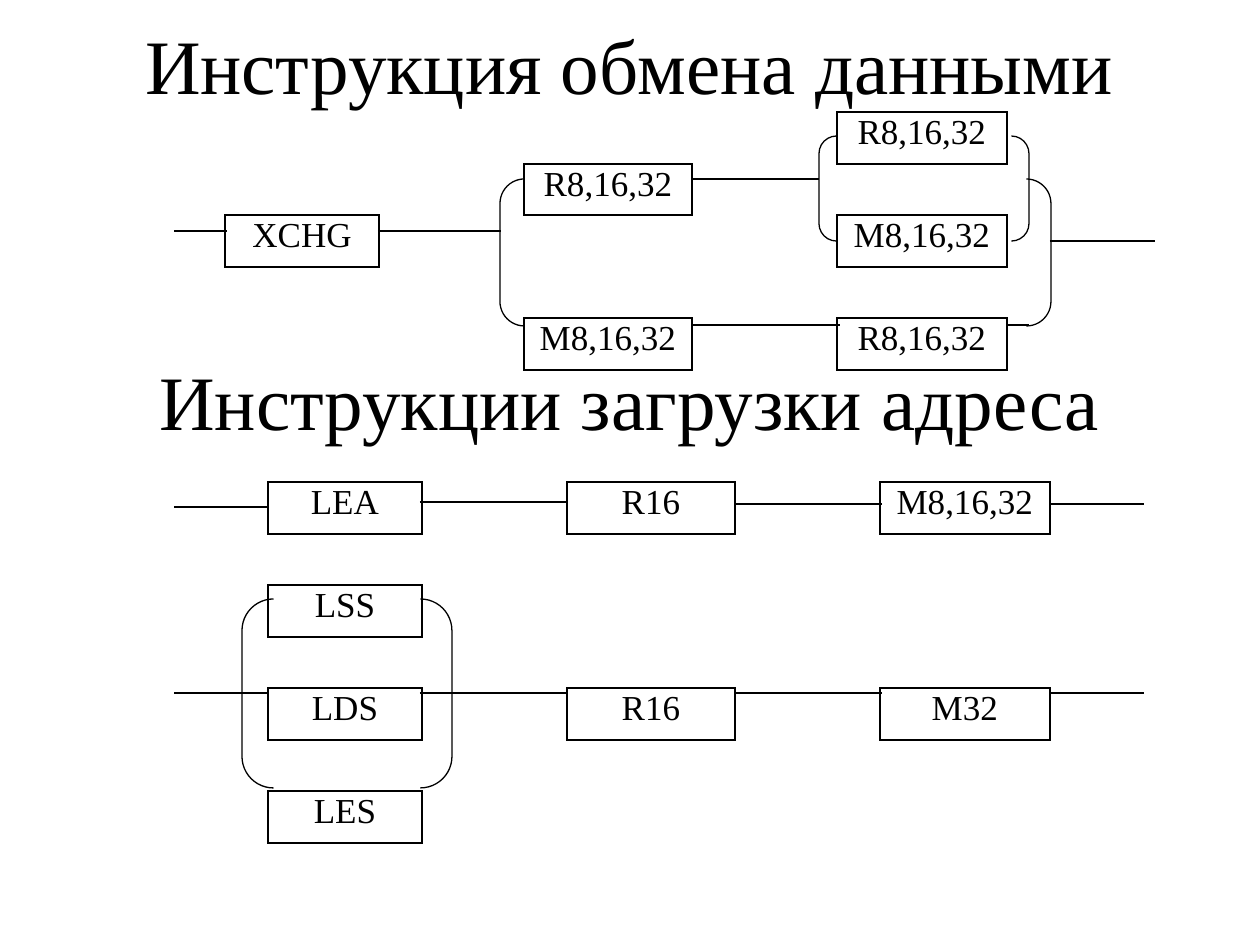
import pptx
import pptx.util
import pptx.oxml
import pptx.dml.color
import pptx.enum.shapes
import pptx.enum.text
from lxml import etree

BLACK = pptx.dml.color.RGBColor(0, 0, 0)
PX = 914400 // 126
COLS = [152, 154, 145, 168, 145, 170, 137]
NS = pptx.oxml.ns.qn


class Page:
    """Draw black syntax charts on one slide, with lengths in px."""

    font = "Times New Roman"
    line_pt = 0.75
    edge_pt = 1

    def __init__(self, slide):
        self.slide = slide
        self.shapes = slide.shapes

    def label(self, frame, text, size):
        para = frame.paragraphs[0]
        para.text = text
        para.alignment = pptx.enum.text.PP_ALIGN.CENTER
        para.font.size = pptx.util.Pt(size)
        para.font.name = self.font
        para.font.color.rgb = BLACK
        return para

    def title(self, top, text):
        box = self.shapes.add_textbox(94 * PX, top * PX, 1071 * PX, 63 * PX)
        frame = box.text_frame
        frame.word_wrap = True
        frame.vertical_anchor = pptx.enum.text.MSO_ANCHOR.MIDDLE
        self.label(frame, text, 44)

    def edge(self, cell):
        props = cell._tc.get_or_add_tcPr()
        for spot, side in enumerate(("lnL", "lnR", "lnT", "lnB")):
            line = etree.Element(NS("a:" + side), w=str(pptx.util.Pt(self.edge_pt)))
            fill = etree.SubElement(line, NS("a:solidFill"))
            etree.SubElement(fill, NS("a:srgbClr"), val=str(BLACK))
            props.insert(spot, line)

    def grid(self, left, top, rows, words):
        highs = [52 - row % 2 for row in range(rows)]
        frame = self.shapes.add_table(rows, len(COLS), left * PX, top * PX,
                                      sum(COLS) * PX, sum(highs) * PX)
        table = frame.table
        table.first_row = table.horz_banding = False
        style = table._tbl.tblPr.find(NS("a:tableStyleId"))
        style.text = "{2D5ABB26-0587-4C30-8999-92F81FD0307C}"
        for col, width in zip(table.columns, COLS):
            col.width = width * PX
        for row, high in zip(table.rows, highs):
            row.height = high * PX
        for row in range(rows):
            for col in range(len(COLS)):
                cell = table.cell(row, col)
                cell.fill.background()
                cell.margin_top, cell.margin_bottom = 8 * PX, 0
                text = words.get((row, col), "")
                para = self.label(cell.text_frame, text, 20)
                para.line_spacing = 0.8
                if text:
                    self.edge(cell)

    def pair(self, left, top, width, high):
        kind = pptx.enum.shapes.MSO_SHAPE.DOUBLE_BRACKET
        shape = self.shapes.add_shape(kind, left * PX, top * PX, width * PX, high * PX)
        shape.adjustments[0] = 0.167
        shape.shadow.inherit = False
        shape.fill.background()
        self.ink(shape)

    def wire(self, start, end, y):
        kind = pptx.enum.shapes.MSO_CONNECTOR.STRAIGHT
        line = self.shapes.add_connector(kind, start * PX, y * PX, end * PX, y * PX)
        self.ink(line)
        etree.SubElement(line._element.spPr, NS("a:effectLst"))

    def ink(self, shape):
        shape.line.color.rgb = BLACK
        shape.line.width = pptx.util.Pt(self.line_pt)


def main():
    deck = pptx.Presentation()
    deck.slide_width = pptx.util.Inches(10)
    deck.slide_height = pptx.util.Inches(7.5)
    page = Page(deck.slides.add_slide(deck.slide_layouts[6]))

    reg, mem = "R8,16,32", "M8,16,32"
    page.title(32, "Инструкция обмена данными")
    page.grid(73, 112, 5, {(0, 5): reg, (1, 3): reg, (2, 1): "XCHG",
                           (2, 5): mem, (4, 3): mem, (4, 5): reg})
    page.pair(500, 179, 551, 147)
    page.pair(819, 136, 210, 105)
    for start, end, y in ((693, 840, 325), (693, 819, 179), (1029, 1008, 325),
                          (227, 174, 231), (378, 501, 231), (1050, 1155, 241)):
        page.wire(start, end, y)

    page.title(368, "Инструкции загрузки адреса")
    page.grid(116, 482, 7, {(0, 1): "LEA", (0, 3): "R16", (0, 5): mem,
                            (2, 1): "LSS", (4, 1): "LDS", (4, 3): "R16",
                            (4, 5): "M32", (6, 1): "LES"})
    page.pair(242, 599, 210, 189)
    spans = ((268, 174), (420, 567), (735, 882), (1144, 1050))
    for levels in ((507, 502, 504, 504), (693,) * 4):
        for (start, end), y in zip(spans, levels):
            page.wire(start, end, y)

    deck.save("out.pptx")


if __name__ == "__main__":
    main()
